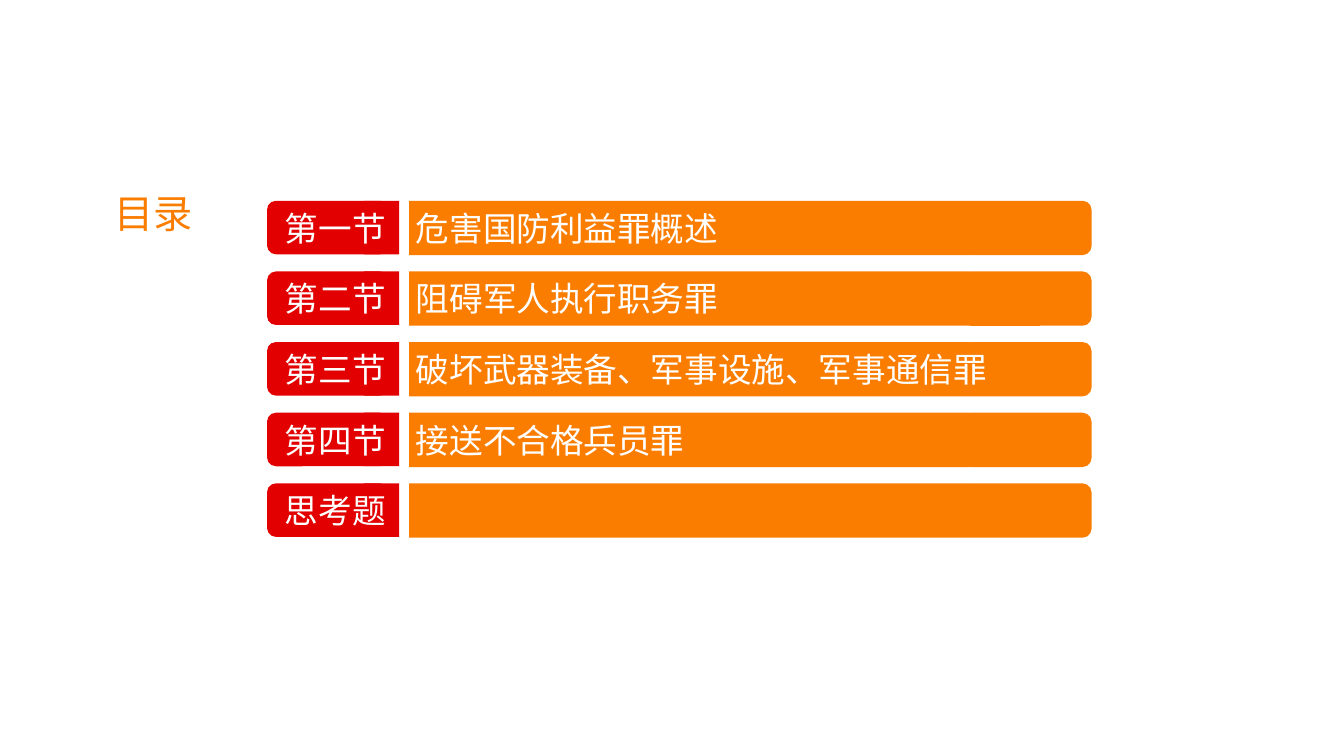
from lxml import etree
from pptx import Presentation
from pptx.dml.color import RGBColor
from pptx.enum.shapes import MSO_SHAPE
from pptx.enum.text import MSO_ANCHOR, PP_ALIGN
from pptx.oxml.ns import qn
from pptx.util import Cm, Pt

RECT, ROUNDED = MSO_SHAPE.RECTANGLE, MSO_SHAPE.ROUNDED_RECTANGLE
LEFT, TOP = PP_ALIGN.LEFT, MSO_ANCHOR.TOP
FONT = "Noto Sans CJK SC"
RED, ORANGE, WHITE = "E20000", "FA7D00", "FFFFFF"


def rgb(value):
    return RGBColor.from_string(value)


class ContentsSlide:
    def __init__(self, prs):
        self.s = prs.slides.add_slide(prs.slide_layouts[5])

    def format_text(self, sp, size, color):
        tf = sp.text_frame
        tf.word_wrap = True
        tf.vertical_anchor = TOP
        p = tf.paragraphs[0]
        p.alignment = LEFT
        for r in p.runs:
            r.font.size = Pt(size)
            r.font.name = FONT
            r.font.color.rgb = rgb(color)
            etree.SubElement(r.font._element, qn("a:ea"), typeface=FONT)

    def title(self, text, x, y, w, h):
        sp = self.s.shapes.title
        sp.left, sp.top, sp.width, sp.height = Cm(x), Cm(y), Cm(w), Cm(h)
        sp.text_frame.text = text
        self.format_text(sp, 28, ORANGE)

    def block(self, kind, x, y, w, h, color):
        sp = self.s.shapes.add_shape(kind, Cm(x), Cm(y), Cm(w), Cm(h))
        sp.shadow.inherit = False
        sp.fill.solid()
        sp.fill.fore_color.rgb = rgb(color)
        sp.line.fill.background()

    def label(self, text, x, y, w, h, tab):
        sp = self.s.shapes.add_textbox(Cm(x), Cm(y), Cm(w), Cm(h))
        p = sp.text_frame.paragraphs[0]
        p.text = text
        tabs = etree.SubElement(p._p.get_or_add_pPr(), qn("a:tabLst"))
        etree.SubElement(tabs, qn("a:tab"), pos=str(Cm(tab)), algn="l")
        self.format_text(sp, 24, WHITE)


def main():
    prs = Presentation()
    prs.slide_width, prs.slide_height = Cm(33.87), Cm(19.05)
    slide = ContentsSlide(prs)

    # Heading
    slide.title("目录", 2.62, 4.65, 2.6, 1.45)

    # Sections: red number tab and orange bar, rounded at the outer ends
    sections = [
        "第一节\t危害国防利益罪概述",
        "第二节\t阻碍军人执行职务罪",
        "第三节\t破坏武器装备、军事设施、军事通信罪",
        "第四节\t接送不合格兵员罪",
        "思考题",
    ]
    first_top, pitch = 5.06, 1.78
    for i, text in enumerate(sections):
        y = first_top + i * pitch
        slide.block(ROUNDED, 24.23, y, 3.28, 1.37, ORANGE)
        slide.block(ROUNDED, 6.73, y, 3.07, 1.35, RED)
        slide.block(RECT, 9.17, y, 0.89, 1.35, RED)
        slide.block(RECT, 10.31, y, 14.12, 1.37, ORANGE)
        slide.label(text, 6.93, y + 0.05, 18.62, 1.27, tab=3.3)

    prs.save("out.pptx")


if __name__ == "__main__":
    main()
